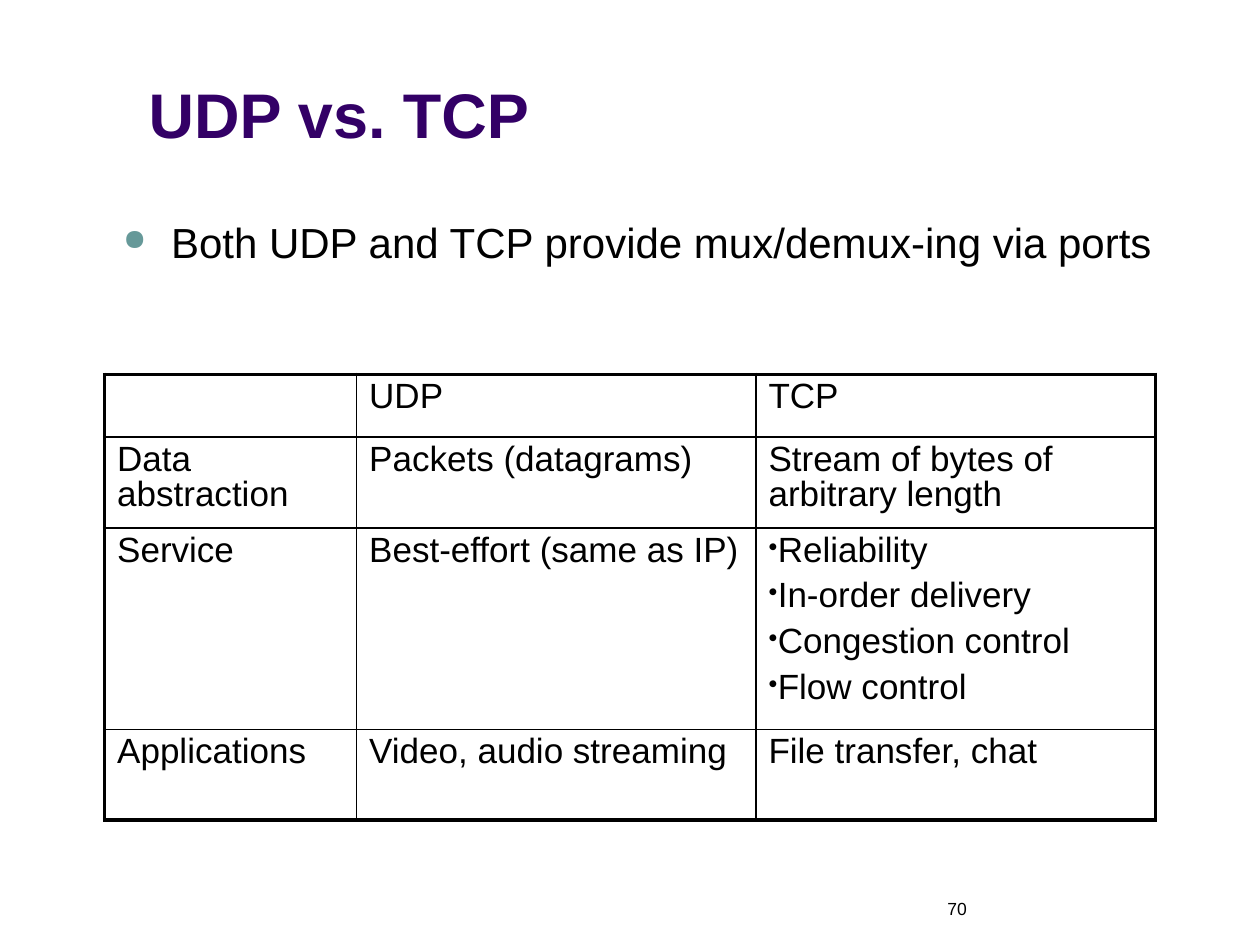
from lxml import etree
from pptx import Presentation
from pptx.dml.color import RGBColor
from pptx.enum.text import MSO_ANCHOR, MSO_AUTO_SIZE, PP_ALIGN
from pptx.oxml.ns import qn
from pptx.util import Inches, Pt

BOTTOM, LEFT, FIXED = MSO_ANCHOR.BOTTOM, PP_ALIGN.LEFT, MSO_AUTO_SIZE.NONE
INK, PURPLE, TEAL = "000000", "330066", "669999"
THIN, THICK = 1, 2.25

TITLE = "UDP vs. TCP"
POINT = "Both UDP and TCP provide mux/demux-ing via ports"
PAGE = "70"
ROWS = [
    ("", "UDP", "TCP"),
    ("Data abstraction", "Packets (datagrams)",
     "Stream of bytes of arbitrary length"),
    ("Service", "Best-effort (same as IP)",
     ["Reliability", "In-order delivery", "Congestion control", "Flow control"]),
    ("Applications", "Video, audio streaming", "File transfer, chat"),
]
WIDTHS = [2, 3.17, 3.17]
HEIGHTS = [0.5, 0.72, 1.6, 0.72]


def add_run(para, text, size, color=INK, bold=False):
    run = para.add_run()
    run.text = text
    font = run.font
    font.name, font.size, font.bold = "Arial", Pt(size), bold
    font.color.rgb = RGBColor.from_string(color)


def add_bullet(para, char, color, percent, left=0, hang=0):
    props = para._p.get_or_add_pPr()
    props.set("marL", str(Inches(left)))
    props.set("indent", str(-Inches(hang)))
    tint = etree.SubElement(props, qn("a:buClr"))
    etree.SubElement(tint, qn("a:srgbClr"), val=color)
    etree.SubElement(props, qn("a:buSzPct"), val=str(percent * 1000))
    etree.SubElement(props, qn("a:buChar"), char=char)


def add_box(slide, left, top, width, height):
    box = slide.shapes.add_textbox(*map(Inches, (left, top, width, height)))
    box.text_frame.word_wrap = True
    return box.text_frame.paragraphs[0]


def set_edges(cell, widths):
    """Draw the left, right, top and bottom borders, in that order."""
    props = cell._tc.get_or_add_tcPr()
    for i, (side, width) in enumerate(zip("LRTB", widths)):
        line = etree.Element(qn(f"a:ln{side}"), w=str(Pt(width)))
        fill = etree.SubElement(line, qn("a:solidFill"))
        etree.SubElement(fill, qn("a:srgbClr"), val=INK)
        props.insert(i, line)


def fill_cell(cell, text):
    listed = isinstance(text, list)
    for i, item in enumerate(text if listed else [text]):
        frame = cell.text_frame
        para = frame.add_paragraph() if i else frame.paragraphs[0]
        if listed:
            add_bullet(para, "•", INK, 75)
        para.line_spacing = 0.9
        if i:
            para.space_before = Pt(6)
        if item:
            add_run(para, item, 20)


def add_grid(slide):
    size = Inches(sum(WIDTHS)), Inches(sum(HEIGHTS))
    table = slide.shapes.add_table(
        len(ROWS), len(WIDTHS), Inches(0.83), Inches(2.97), *size).table
    table.first_row = table.horz_banding = False
    for col, width in zip(table.columns, WIDTHS):
        col.width = Inches(width)
    for row, height in zip(table.rows, HEIGHTS):
        row.height = Inches(height)
    for r, texts in enumerate(ROWS):
        for c, text in enumerate(texts):
            cell = table.cell(r, c)
            fill_cell(cell, text)
            cell.fill.background()
            outer = (c == 0, c == len(WIDTHS) - 1, r == 0, r == len(ROWS) - 1)
            set_edges(cell, [THICK if edge else THIN for edge in outer])


def main():
    deck = Presentation()
    deck.slide_width, deck.slide_height = Inches(10), Inches(7.5)
    slide = deck.slides.add_slide(deck.slide_layouts[5])

    title = slide.shapes.title
    title.left, title.top = Inches(1.08), Inches(0.33)
    title.width, title.height = Inches(7.83), Inches(0.92)
    frame = title.text_frame
    frame.vertical_anchor, frame.auto_size = BOTTOM, FIXED
    frame.paragraphs[0].alignment = LEFT
    add_run(frame.paragraphs[0], TITLE, 36, PURPLE, True)

    para = add_box(slide, 0.5, 1.67, 8.83, 0.75)
    add_bullet(para, "●", TEAL, 70, 0.76, 0.38)
    add_run(para, POINT, 24)

    add_grid(slide)
    add_run(add_box(slide, 7.42, 7.08, 2.08, 0.5), PAGE, 10)
    deck.save("out.pptx")


if __name__ == "__main__":
    main()
